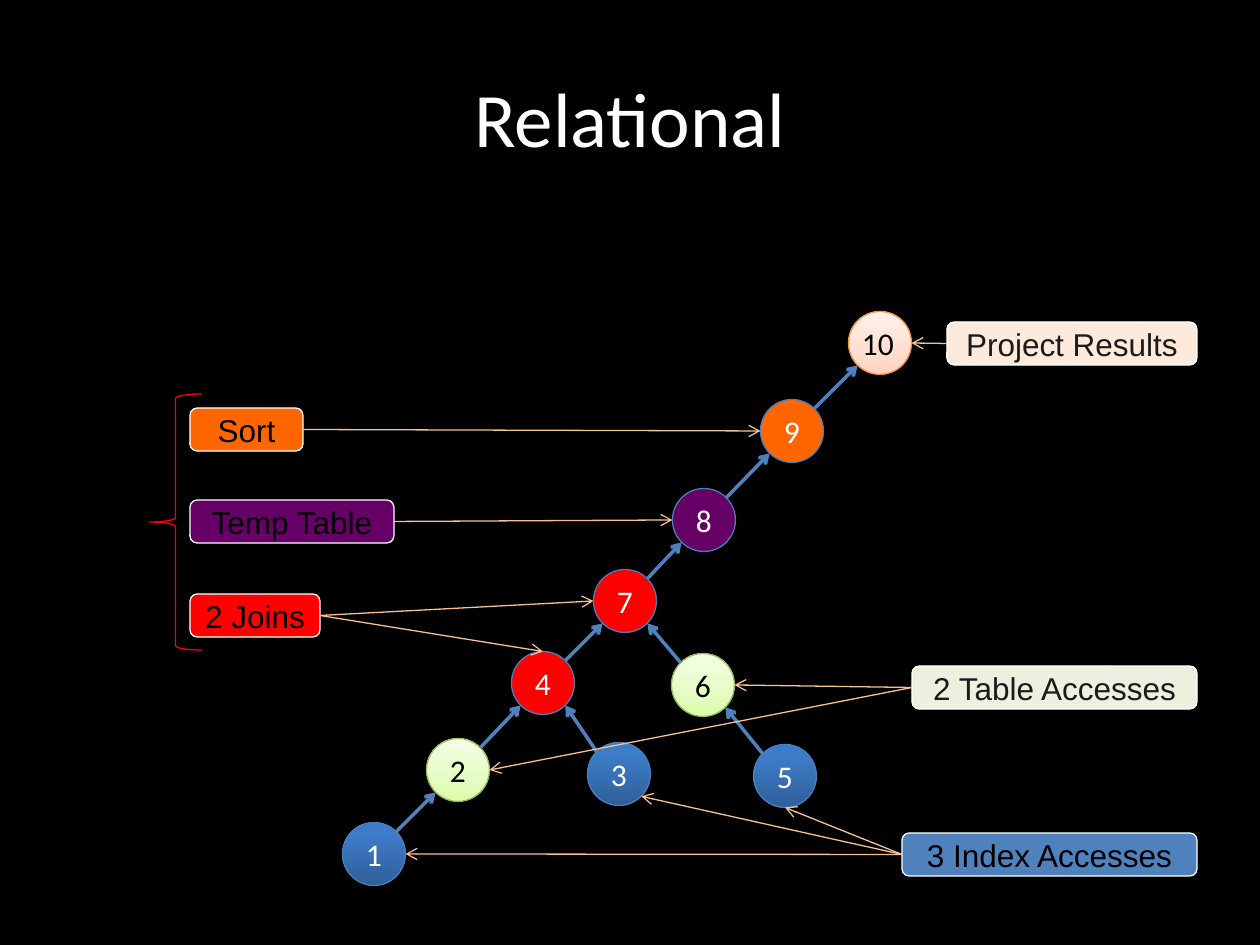
from copy import deepcopy

from lxml import etree
from pptx import Presentation
from pptx.dml.color import RGBColor
from pptx.enum.shapes import MSO_CONNECTOR, MSO_SHAPE
from pptx.enum.text import MSO_ANCHOR, PP_ALIGN
from pptx.oxml.ns import qn
from pptx.util import Emu, Pt

CIRCLE, BOX, BRACE = (MSO_SHAPE.FLOWCHART_CONNECTOR, MSO_SHAPE.ROUNDED_RECTANGLE,
                      MSO_SHAPE.LEFT_BRACE)
STRAIGHT = MSO_CONNECTOR.STRAIGHT
CENTER, MIDDLE = PP_ALIGN.CENTER, MSO_ANCHOR.MIDDLE
PX = 914400 / 126

BLUE = [(0, "2F5F99"), (0.8, "3D7CC7"), (1, "3A7CCB")]
GREEN = [(0, "DAFDA7"), (0.35, "E4FCC2"), (1, "F5FFE7")]
PEACH = [(0, "FFD2BD"), (0.35, "FFDED0"), (1, "FFF2ED")]
RED, PURPLE, ORANGE = "FF0000", "660066", "FF6600"
RIM, GREEN_RIM, PEACH_RIM = "4B7EBC", "98B955", "F69240"
WHITE, BLACK, DARK = "FFFFFF", "000000", "1B1B1B"
EDGE, POINTER = "4F81BD", "FAC090"

# number: (centre x, centre y, fill, rim, text colour)
NODES = {
    1: (374, 854, BLUE, RIM, WHITE),
    2: (458, 770, GREEN, GREEN_RIM, BLACK),
    3: (619, 774, BLUE, RIM, WHITE),
    4: (543, 683, RED, RIM, WHITE),
    7: (625, 601, RED, RIM, WHITE),
    6: (703, 685, GREEN, GREEN_RIM, BLACK),
    5: (785, 776, BLUE, RIM, WHITE),
    8: (704, 520, PURPLE, RIM, WHITE),
    9: (792, 431, ORANGE, RIM, WHITE),
    10: (880, 343, PEACH, PEACH_RIM, BLACK),
}
DIAMETER = 63
# child, parent
EDGES = [(1, 2), (2, 4), (4, 7), (7, 8), (8, 9), (9, 10), (3, 4), (6, 7), (5, 6)]

# text, left, top, width, fill, text colour, [(node, side pointed at)]
LABELS = [
    ("3 Index Accesses", 902, 833, 295, EDGE, BLACK,
     [(5, "bottom"), (3, "bottom right"), (1, "right")]),
    ("Sort", 190, 408, 113, ORANGE, BLACK, [(9, "left")]),
    ("Temp Table", 190, 500, 204, PURPLE, BLACK, [(8, "left")]),
    ("2 Joins", 190, 594, 130, RED, BLACK, [(7, "left"), (4, "top")]),
    ("2 Table Accesses", 912, 666, 285, "EBF1DE", DARK, [(6, "right"), (2, "right")]),
    ("Project Results", 947, 322, 250, "FDEADA", DARK, [(10, "right")]),
]
LABEL_HEIGHT = 43
SIDES = {"top": (0, -1), "bottom": (0, 1), "left": (-1, 0), "right": (1, 0),
         "top left": (-0.71, -0.71), "top right": (0.71, -0.71),
         "bottom left": (-0.71, 0.71), "bottom right": (0.71, 0.71)}


def px(*values):
    return [Emu(round(v * PX)) for v in values]


def rgb(value):
    return RGBColor.from_string(value)


def write(s, text, size=18, font="Calibri", color=WHITE):
    tf = s.text_frame
    tf.word_wrap = True
    tf.vertical_anchor = MIDDLE
    tf.margin_left = tf.margin_right = tf.margin_top = tf.margin_bottom = 0
    p = tf.paragraphs[0]
    p.alignment = CENTER
    r = p.add_run()
    r.text = text
    r.font.size, r.font.name, r.font.color.rgb = Pt(size), font, rgb(color)


def paint(s, fill):
    """Fill with one colour, or with a list of stops running from bottom to top."""
    if fill is None:
        s.fill.background()
    elif isinstance(fill, str):
        s.fill.solid()
        s.fill.fore_color.rgb = rgb(fill)
    else:
        s.fill.gradient()
        s.fill.gradient_angle = 90
        stops = s._element.spPr.find(".//" + qn("a:gsLst"))
        stops.append(deepcopy(stops[0]))
        for stop, (position, color) in zip(s.fill.gradient_stops, fill):
            stop.position, stop.color.rgb = position, rgb(color)


def add_shape(kind, left, top, width, height, fill, line):
    s = shapes.add_shape(kind, *px(left, top, width, height))
    s.shadow.inherit = False
    paint(s, fill)
    s.line.color.rgb, s.line.width = rgb(line), Pt(0.75)
    return s


def add_arrow(start, end, color, width):
    s = shapes.add_connector(STRAIGHT, *px(*start, *end))
    s.line.color.rgb, s.line.width = rgb(color), Pt(width)
    etree.SubElement(s.line._get_or_add_ln(), qn("a:tailEnd"), type="arrow")
    etree.SubElement(s._element.spPr, qn("a:effectLst"))


def rim_point(number, side):
    x, y = NODES[number][:2]
    dx, dy = SIDES[side]
    return x + dx * DIAMETER / 2, y + dy * DIAMETER / 2


prs = Presentation()
prs.slide_width, prs.slide_height = px(1260, 945)
slide = prs.slides.add_slide(prs.slide_layouts[6])
slide.background.fill.solid()
slide.background.fill.fore_color.rgb = rgb(BLACK)
shapes = slide.shapes

write(shapes.add_textbox(*px(63, 38, 1134, 157)), "Relational", size=44)

for number, (x, y, fill, rim, color) in NODES.items():
    left, top = x - DIAMETER / 2, y - DIAMETER / 2
    s = add_shape(CIRCLE, left, top, DIAMETER, DIAMETER, fill, rim)
    if number == 10:  # two digits are too wide for the circle's own text area
        s = shapes.add_textbox(*px(left - 2, top + 6, DIAMETER, 50))
    write(s, str(number), color=color)

for child, parent in EDGES:
    away, back = ("right", "left") if NODES[child][0] < NODES[parent][0] else ("left", "right")
    add_arrow(rim_point(child, "top " + away), rim_point(parent, "bottom " + back), EDGE, 2)

add_shape(BRACE, 149, 394, 53, 256, None, RED)

for text, left, top, width, fill, color, targets in LABELS:
    s = add_shape(BOX, left, top, width, LABEL_HEIGHT, fill, WHITE)
    write(s, text, font="Arial", color=color)
    for number, side in targets:
        start_x = left + width if left < NODES[number][0] else left
        add_arrow((start_x, top + LABEL_HEIGHT / 2), rim_point(number, side), POINTER, 0.75)

prs.save("out.pptx")
